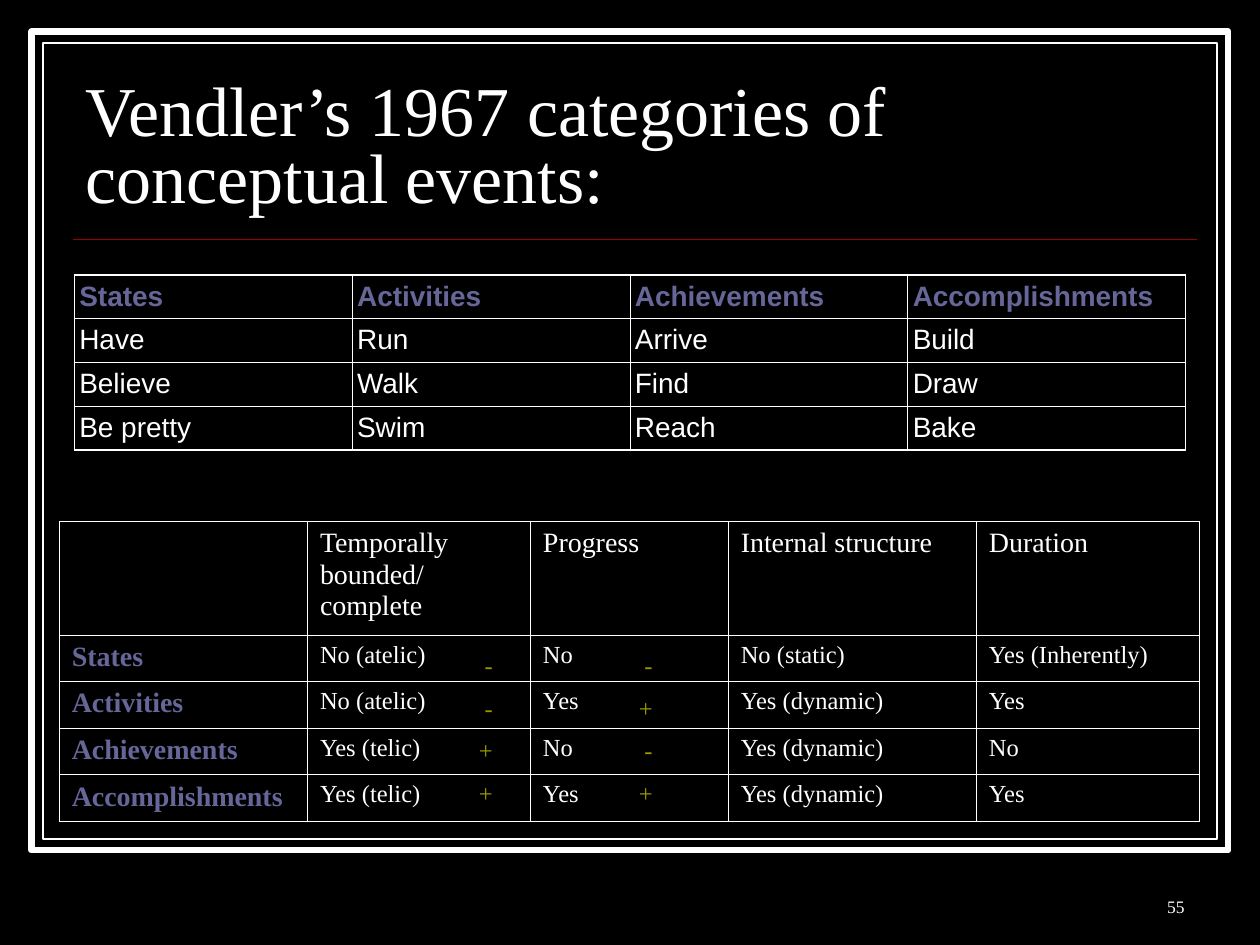
"""Build the slide on Vendler's categories of conceptual events."""
from lxml import etree
from pptx import Presentation
from pptx.dml.color import RGBColor
from pptx.enum.shapes import MSO_CONNECTOR, MSO_SHAPE
from pptx.enum.text import MSO_ANCHOR, PP_ALIGN
from pptx.oxml.ns import qn
from pptx.util import Inches, Pt

RECTANGLE = MSO_SHAPE.RECTANGLE
STRAIGHT = MSO_CONNECTOR.STRAIGHT
TOP, MIDDLE, BOTTOM = MSO_ANCHOR.TOP, MSO_ANCHOR.MIDDLE, MSO_ANCHOR.BOTTOM
LEFT, RIGHT = PP_ALIGN.LEFT, PP_ALIGN.RIGHT

BLACK = RGBColor(0x00, 0x00, 0x00)
WHITE = RGBColor(0xFF, 0xFF, 0xFF)
RED = RGBColor(0x99, 0x00, 0x00)
SLATE = RGBColor(0x66, 0x66, 0x99)
OLIVE = RGBColor(0x99, 0x99, 0x00)
SERIF, SANS = "Times New Roman", "Arial"
THIN, THICK = 0.45, 1.08

VERBS = [
    ["States", "Activities", "Achievements", "Accomplishments"],
    ["Have", "Run", "Arrive", "Build"],
    ["Believe", "Walk", "Find", "Draw"],
    ["Be pretty", "Swim", "Reach", "Bake"],
]
FEATURES = [
    ["", "Temporally bounded/ complete", "Progress", "Internal structure", "Duration"],
    ["States", "No (atelic)", "No", "No (static)", "Yes (Inherently)"],
    ["Activities", "No (atelic)", "Yes", "Yes (dynamic)", "Yes"],
    ["Achievements", "Yes (telic)", "No", "Yes (dynamic)", "No"],
    ["Accomplishments", "Yes (telic)", "Yes", "Yes (dynamic)", "Yes"],
]
SIGNS = [["-", "-"], ["-", "+"], ["+", "-"], ["+", "+"]]


def format_text(frame, size, color, name=SERIF, bold=False, align=LEFT):
    for paragraph in frame.paragraphs:
        paragraph.alignment = align
        for run in paragraph.runs:
            run.font.size = Pt(size)
            run.font.name = name
            run.font.bold = bold
            run.font.color.rgb = color


def add_frame(slide, inset, weight):
    frame = slide.shapes.add_shape(
        RECTANGLE, Inches(inset), Inches(inset), Inches(10 - 2 * inset), Inches(7 - 2 * inset))
    frame.shadow.inherit = False
    frame.fill.solid()
    frame.fill.fore_color.rgb = BLACK
    frame.line.color.rgb = WHITE
    frame.line.width = Pt(weight)


def add_rule(slide):
    rule = slide.shapes.add_connector(
        STRAIGHT, Inches(0.58), Inches(1.9), Inches(9.5), Inches(1.9))
    rule.line.color.rgb = RED
    rule.line.width = Pt(1)
    etree.SubElement(rule.element.spPr, qn("a:effectLst"))


def set_title(slide):
    title = slide.shapes.title
    title.element.getparent().append(title.element)
    title.left, title.top = Inches(0.58), Inches(0.52)
    title.width, title.height = Inches(8.92), Inches(1.25)
    title.text_frame.text = "Vendler’s 1967 categories of conceptual events:"
    title.text_frame.vertical_anchor = BOTTOM
    title.text_frame.paragraphs[0].line_spacing = 0.8
    format_text(title.text_frame, 40, WHITE)


def set_borders(cell, weights):
    properties = cell._tc.get_or_add_tcPr()
    for side, weight in zip("LRTB", weights):
        border = etree.SubElement(properties, qn(f"a:ln{side}"), w=str(Pt(weight)))
        if weight:
            fill = etree.SubElement(border, qn("a:solidFill"))
            etree.SubElement(fill, qn("a:srgbClr"), val=str(WHITE))
        else:
            etree.SubElement(border, qn("a:noFill"))


def add_grid(slide, content, left, top, widths, heights, style, inner, outer,
             margin=None, anchor=TOP):
    """Add a clear table; style maps a row and column to text formatting."""
    table = slide.shapes.add_table(
        len(heights), len(widths), Inches(left), Inches(top),
        Inches(sum(widths)), Inches(sum(heights))).table
    table.first_row = table.horz_banding = False
    for column, width in zip(table.columns, widths):
        column.width = Inches(width)
    last_row, last_col = len(heights) - 1, len(widths) - 1
    for r, height in enumerate(heights):
        table.rows[r].height = Inches(height)
        for c, text in enumerate(content[r]):
            cell = table.cell(r, c)
            edges = (c == 0, c == last_col, r == 0, r == last_row)
            set_borders(cell, [outer if edge else inner for edge in edges])
            cell.fill.background()
            cell.vertical_anchor = anchor
            if margin is not None:
                cell.margin_left = cell.margin_right = Inches(margin)
                cell.margin_top = cell.margin_bottom = Inches(margin)
            cell.text_frame.text = text
            format_text(cell.text_frame, **style(r, c))


def verb_style(row, col):
    return dict(size=16, color=WHITE if row else SLATE, name=SANS, bold=row == 0)


def feature_style(row, col):
    if row and col == 0:
        return dict(size=16, color=SLATE, bold=True)
    return dict(size=14 if row else 16, color=WHITE)


def sign_style(row, col):
    return dict(size=14, color=OLIVE, align=RIGHT)


def add_page_number(slide):
    number = slide.shapes.add_textbox(
        Inches(7.42), Inches(6.83), Inches(2.08), Inches(0.5)).text_frame
    number.word_wrap = True
    number.vertical_anchor = BOTTOM
    number.text = "55"
    format_text(number, 10, WHITE, align=RIGHT)


def main():
    deck = Presentation()
    deck.slide_width, deck.slide_height = Inches(10), Inches(7.5)
    slide = deck.slides.add_slide(deck.slide_layouts[5])
    slide.background.fill.solid()
    slide.background.fill.fore_color.rgb = BLACK
    add_frame(slide, 0.25, 3.5)
    add_frame(slide, 0.34, 0.75)
    add_rule(slide)
    set_title(slide)
    add_grid(slide, SIGNS, 2.44, 5.13, [1.57, 1.27], [1.35 / 4] * 4, sign_style, 0, 0)
    add_grid(slide, FEATURES, 0.47, 4.14, [1.97, 1.77, 1.57, 1.97, 1.77],
             [0.9] + [0.37] * 4, feature_style, THIN, THIN)
    add_grid(slide, VERBS, 0.59, 2.18, [8.82 / 4] * 4, [1.39 / 4] * 4, verb_style,
             THIN, THICK, margin=0.04, anchor=MIDDLE)
    add_page_number(slide)
    deck.save("out.pptx")


if __name__ == "__main__":
    main()
